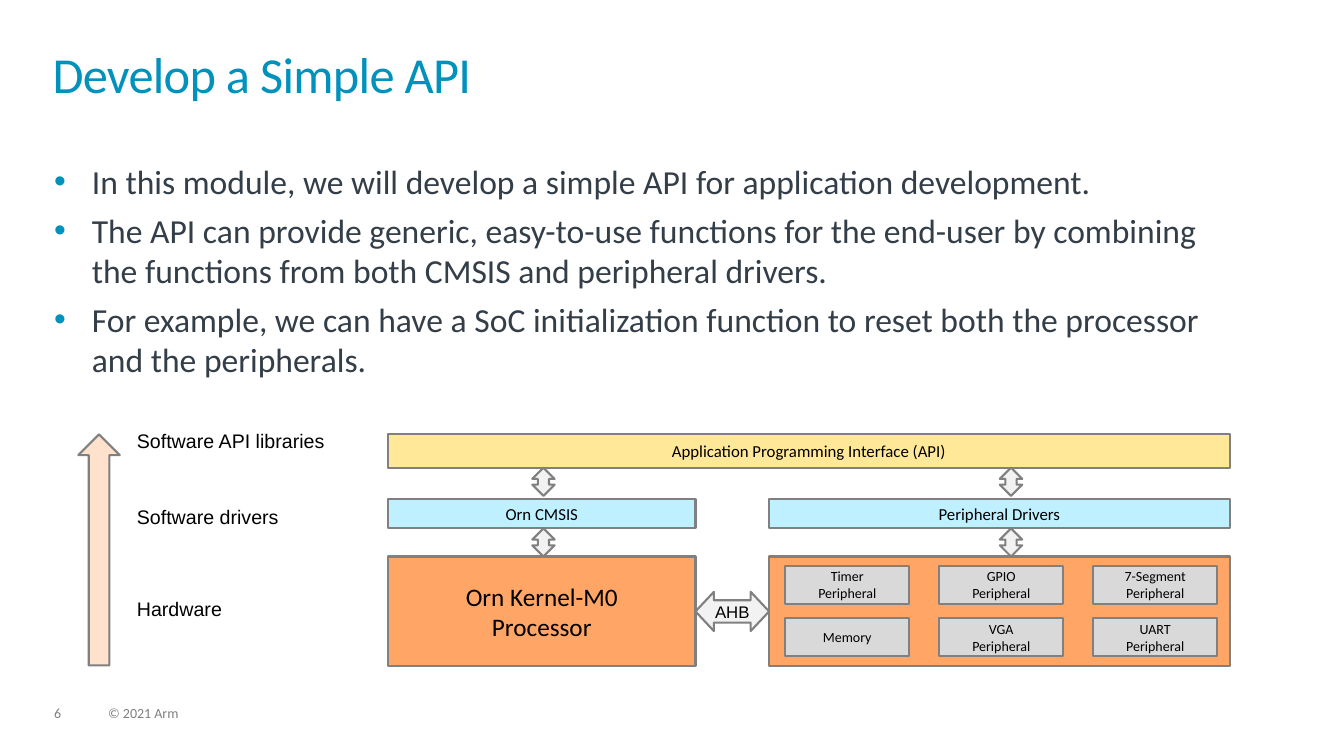
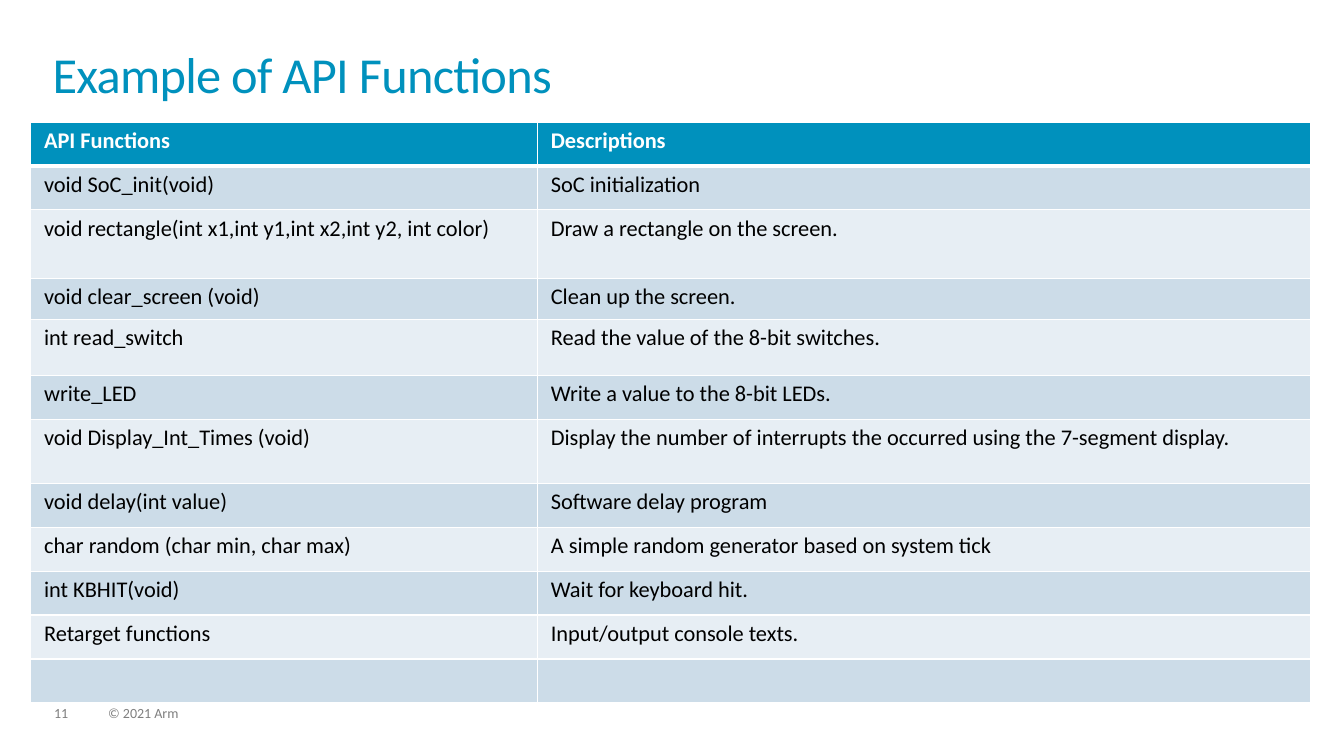
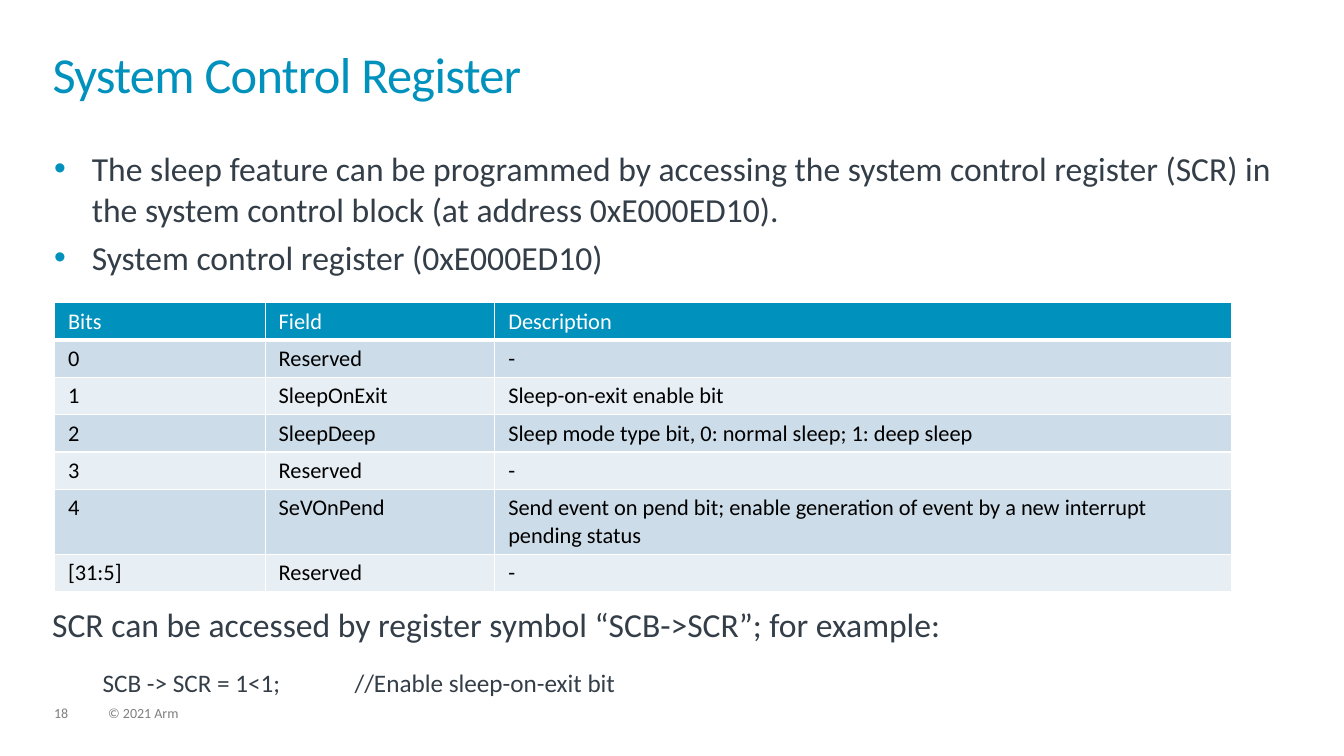
import lxml.etree
import pptx
import pptx.dml.color
import pptx.enum.shapes
import pptx.enum.text
import pptx.oxml.ns
import pptx.util

Pt = pptx.util.Pt
RGBColor = pptx.dml.color.RGBColor
ALIGN = pptx.enum.text.PP_ALIGN
ANCHOR = pptx.enum.text.MSO_ANCHOR
SHAPE = pptx.enum.shapes.MSO_SHAPE
qn = pptx.oxml.ns.qn

BLUE = RGBColor(0x00, 0x91, 0xBD)
SLATE = RGBColor(0x33, 0x3E, 0x48)
WHITE = RGBColor(0xFF, 0xFF, 0xFF)
BLACK = RGBColor(0x00, 0x00, 0x00)
FOOTER_GRAY = RGBColor(0x7F, 0x7F, 0x7F)
OUTLINE = RGBColor(0x80, 0x80, 0x80)
TILE_GRAY = RGBColor(0xD9, 0xD9, 0xD9)
ARROW_GRAY = RGBColor(0xF2, 0xF2, 0xF2)
ORANGE = RGBColor(0xFF, 0xA6, 0x66)
PEACH = RGBColor(0xFF, 0xE1, 0xCC)
PALE_BLUE = RGBColor(0xBF, 0xF0, 0xFF)
YELLOW = RGBColor(0xFF, 0xE9, 0x99)
BAND_DARK = RGBColor(0xCC, 0xDC, 0xE8)
BAND_LIGHT = RGBColor(0xE7, 0xEE, 0xF4)

BULLET_INDENT = 27


def add_bullet(paragraph):
    properties = paragraph._p.get_or_add_pPr()
    properties.set("marL", str(Pt(BULLET_INDENT)))
    properties.set("indent", str(-Pt(BULLET_INDENT)))
    color = lxml.etree.SubElement(properties, qn("a:buClr"))
    lxml.etree.SubElement(color, qn("a:srgbClr"), val=str(BLUE))
    lxml.etree.SubElement(properties, qn("a:buFont"), typeface="Arial")
    lxml.etree.SubElement(properties, qn("a:buChar"), char="•")


def write_text(frame, text, size=16, color=BLACK, font="Calibri", bold=False,
               align=ALIGN.LEFT, line_spacing=None, space_before=0, space_after=0,
               bullet=False, left_indent=0, tracking=0, append=False):
    """Write one paragraph for each line of text, after any present if append."""
    for index, line in enumerate(text.split("\n")):
        first = index == 0 and not append
        paragraph = frame.paragraphs[0] if first else frame.add_paragraph()
        if bullet:
            add_bullet(paragraph)
        elif left_indent:
            paragraph._p.get_or_add_pPr().set("marL", str(Pt(left_indent)))
        paragraph.alignment = align
        paragraph.space_before = Pt(0 if first else space_before)
        paragraph.space_after = Pt(space_after)
        if line_spacing:
            paragraph.line_spacing = line_spacing
        run = paragraph.add_run()
        run.text = line
        run.font.name = font
        run.font.size = Pt(size)
        run.font.bold = bold
        run.font.color.rgb = color
        if tracking:
            run._r.get_or_add_rPr().set("spc", str(int(tracking * 100)))


def set_insets(frame, horizontal=0, vertical=0):
    frame.margin_left = frame.margin_right = Pt(horizontal)
    frame.margin_top = frame.margin_bottom = Pt(vertical)


def add_text(slide, box, text, insets=(0, 0), **text_format):
    frame = slide.shapes.add_textbox(*map(Pt, box)).text_frame
    frame.word_wrap = True
    set_insets(frame, *insets)
    write_text(frame, text, **text_format)
    return frame


def add_block(slide, kind, box, fill, text="", **text_format):
    """Outlined shape with centred text."""
    shape = slide.shapes.add_shape(kind, *map(Pt, box))
    shape.shadow.inherit = False
    shape.fill.solid()
    shape.fill.fore_color.rgb = fill
    shape.line.color.rgb = OUTLINE
    shape.line.width = Pt(1.5)
    if text:
        frame = shape.text_frame
        frame.word_wrap = False
        frame.vertical_anchor = ANCHOR.MIDDLE
        set_insets(frame)
        write_text(frame, text, align=ALIGN.CENTER, **text_format)
    return shape


def add_slide(presentation, title, number):
    """Title-only slide with the shared title style and footer."""
    slide = presentation.slides.add_slide(presentation.slide_layouts[5])
    heading = slide.shapes.title
    heading.left, heading.top, heading.width, heading.height = map(Pt, (37.5, 37.5, 884, 52))
    frame = heading.text_frame
    frame.word_wrap = True
    frame.auto_size = pptx.enum.text.MSO_AUTO_SIZE.NONE
    frame.vertical_anchor = ANCHOR.TOP
    set_insets(frame)
    write_text(frame, title, size=36, color=BLUE, line_spacing=0.85, tracking=-0.5)
    for left, width, text in ((38.6, 24.5, str(number)), (77.3, 365, "© 2021 Arm")):
        add_text(slide, (left, 504.6, width, 11), text, size=10, color=FOOTER_GRAY,
                 line_spacing=0.9, space_after=6)
    return slide


def add_bullets(slide, box, text):
    add_text(slide, box, text, size=24, color=SLATE, bullet=True, space_before=6)


def set_border(cell, side, width):
    line = lxml.etree.SubElement(cell._tc.get_or_add_tcPr(), qn("a:" + side), w=str(Pt(width)))
    fill = lxml.etree.SubElement(line, qn("a:solidFill"))
    lxml.etree.SubElement(fill, qn("a:srgbClr"), val=str(WHITE))


def add_banded_table(slide, left, top, widths, heights, rows, bold_header=False):
    table = slide.shapes.add_table(len(rows), len(widths), Pt(left), Pt(top),
                                   Pt(sum(widths)), Pt(sum(heights))).table
    for column, width in zip(table.columns, widths):
        column.width = Pt(width)
    for row_index, (height, texts) in enumerate(zip(heights, rows)):
        table.rows[row_index].height = Pt(height)
        header = row_index == 0
        band = BLUE if header else BAND_DARK if row_index % 2 else BAND_LIGHT
        for column_index, text in enumerate(texts):
            cell = table.cell(row_index, column_index)
            set_insets(cell, 9.6, 3.6)
            set_border(cell, "lnL", 1)
            set_border(cell, "lnR", 1)
            set_border(cell, "lnT", 3 if row_index == 1 else 1)
            set_border(cell, "lnB", 3 if header else 1)
            cell.fill.solid()
            cell.fill.fore_color.rgb = band
            if text:
                write_text(cell.text_frame, text, color=WHITE if header else BLACK,
                           bold=header and bold_header)


def add_peripherals(slide, left, top, width, height):
    add_block(slide, SHAPE.RECTANGLE, (left, top, width, height), ORANGE)
    grid = (("Timer\nPeripheral", "GPIO\nPeripheral", "7-Segment\nPeripheral"),
            ("Memory", "VGA\nPeripheral", "UART\nPeripheral"))
    for row, names in enumerate(grid):
        for column, name in enumerate(names):
            tile = (left + 11.5 + 110 * column, top + 6.5 + 37.4 * row, 88.6, 27.4)
            add_block(slide, SHAPE.RECTANGLE, tile, TILE_GRAY, name, size=10)


def add_layer_labels(slide, left, top, height):
    add_block(slide, SHAPE.UP_ARROW, (left, top, 29.5, height), PEACH)
    labels = (("Software API libraries", -7.6), ("Software drivers", 47), ("Hardware", 112.6))
    for label, offset in labels:
        add_text(slide, (left + 34.7, top + offset, 186, 24.5), label,
                 insets=(7.2, 3.6), size=14, font="Arial")


def add_software_stack(slide, left, top):
    """API over drivers over hardware, joined by double arrows."""
    width, processor_width, peripherals_width = 601.2, 219.6, 329
    api_height, driver_top, driver_height = 23.8, 46.1, 21
    hardware_top, hardware_height = 87.2, 78.5
    peripherals_left = left + width - peripherals_width

    add_block(slide, SHAPE.RECTANGLE, (left, top, width, api_height), YELLOW,
              "Application Programming Interface (API)", size=12)
    drivers = (("Orn CMSIS", left, processor_width),
               ("Peripheral Drivers", peripherals_left, peripherals_width))
    for name, driver_left, driver_width in drivers:
        add_block(slide, SHAPE.RECTANGLE,
                  (driver_left, top + driver_top, driver_width, driver_height),
                  PALE_BLUE, name, size=12)
    add_block(slide, SHAPE.RECTANGLE,
              (left, top + hardware_top, processor_width, hardware_height),
              ORANGE, "Orn Kernel-M0\nProcessor", size=18)
    add_peripherals(slide, peripherals_left, top + hardware_top,
                    peripherals_width, hardware_height)

    for arrow_left in (left + 103, left + 437):
        for arrow_top in (api_height, driver_top + driver_height):
            add_block(slide, SHAPE.UP_DOWN_ARROW, (arrow_left, top + arrow_top, 16, 20.1),
                      ARROW_GRAY)
    bus_left, bus_height = left + processor_width, 28
    bus_top = top + hardware_top + (hardware_height - bus_height) / 2
    bus = add_block(slide, SHAPE.LEFT_RIGHT_ARROW,
                    (bus_left, bus_top, peripherals_left - bus_left, bus_height),
                    ARROW_GRAY, "AHB", size=12, font="Arial")
    bus.adjustments[0], bus.adjustments[1] = 0.57, 0.47


def build_api_overview(presentation):
    slide = add_slide(presentation, "Develop a Simple API", 6)
    add_bullets(slide, (38.6, 115.2, 840, 180), "\n".join((
        "In this module, we will develop a simple API for application development.",
        "The API can provide generic, easy-to-use functions for the end-user by combining "
        "the functions from both CMSIS and peripheral drivers.",
        "For example, we can have a SoC initialization function to reset both the processor "
        "and the peripherals.")))
    add_layer_labels(slide, 56, 310.3, 165)
    add_software_stack(slide, 277.2, 310.3)


def build_function_list(presentation):
    slide = add_slide(presentation, "Example of API Functions", 11)
    rows = (
        ("API Functions", "Descriptions"),
        ("void SoC_init(void)", "SoC initialization"),
        ("void rectangle(int x1,int y1,int x2,int y2, int color)",
         "Draw a rectangle on the screen."),
        ("void clear_screen (void)", "Clean up the screen."),
        ("int read_switch", "Read the value of the 8-bit switches."),
        ("write_LED", "Write a value to the 8-bit LEDs."),
        ("void Display_Int_Times (void)",
         "Display the number of interrupts the occurred using the 7-segment display."),
        ("void delay(int value)", "Software delay program"),
        ("char random (char min, char max)", "A simple random generator based on system tick"),
        ("int KBHIT(void)", "Wait for keyboard hit."),
        ("Retarget functions", "Input/output console texts."),
        ("", ""),
    )
    heights = [31.4] * len(rows)
    heights[2], heights[3], heights[4], heights[6] = 48.8, 29.6, 40, 45.6
    add_banded_table(slide, 21.9, 87.1, (362, 552), heights, rows, bold_header=True)


def build_control_register(presentation):
    slide = add_slide(presentation, "System Control Register", 18)
    add_bullets(slide, (38.6, 105.8, 881, 99),
                "The sleep feature can be programmed by accessing the system control register "
                "(SCR) in the system control block (at address 0xE000ED10).\n"
                "System control register (0xE000ED10)")
    rows = (
        ("Bits", "Field", "Description"),
        ("0", "Reserved", "-"),
        ("1", "SleepOnExit", "Sleep-on-exit enable bit"),
        ("2", "SleepDeep", "Sleep mode type bit, 0: normal sleep; 1: deep sleep"),
        ("3", "Reserved", "-"),
        ("4", "SeVOnPend", "Send event on pend bit; enable generation of event by a new "
                           "interrupt pending status"),
        ("[31:5]", "Reserved", "-"),
    )
    heights = [26.7] * len(rows)
    heights[5] = 46.3
    add_banded_table(slide, 39, 216.2, (150.5, 164, 526.3), heights, rows)
    frame = add_text(slide, (30.2, 431.3, 850, 71),
                     "SCR can be accessed by register symbol “SCB->SCR”; for example:",
                     insets=(7.2, 3.6), size=24, color=SLATE, line_spacing=0.9, space_after=16)
    write_text(frame, "SCB -> SCR = 1<1;\t\t//Enable sleep-on-exit bit",
               size=18, color=SLATE, left_indent=36, append=True)


def main():
    presentation = pptx.Presentation()
    presentation.slide_width, presentation.slide_height = Pt(960), Pt(540)
    build_api_overview(presentation)
    build_function_list(presentation)
    build_control_register(presentation)
    presentation.save("out.pptx")


if __name__ == "__main__":
    main()
